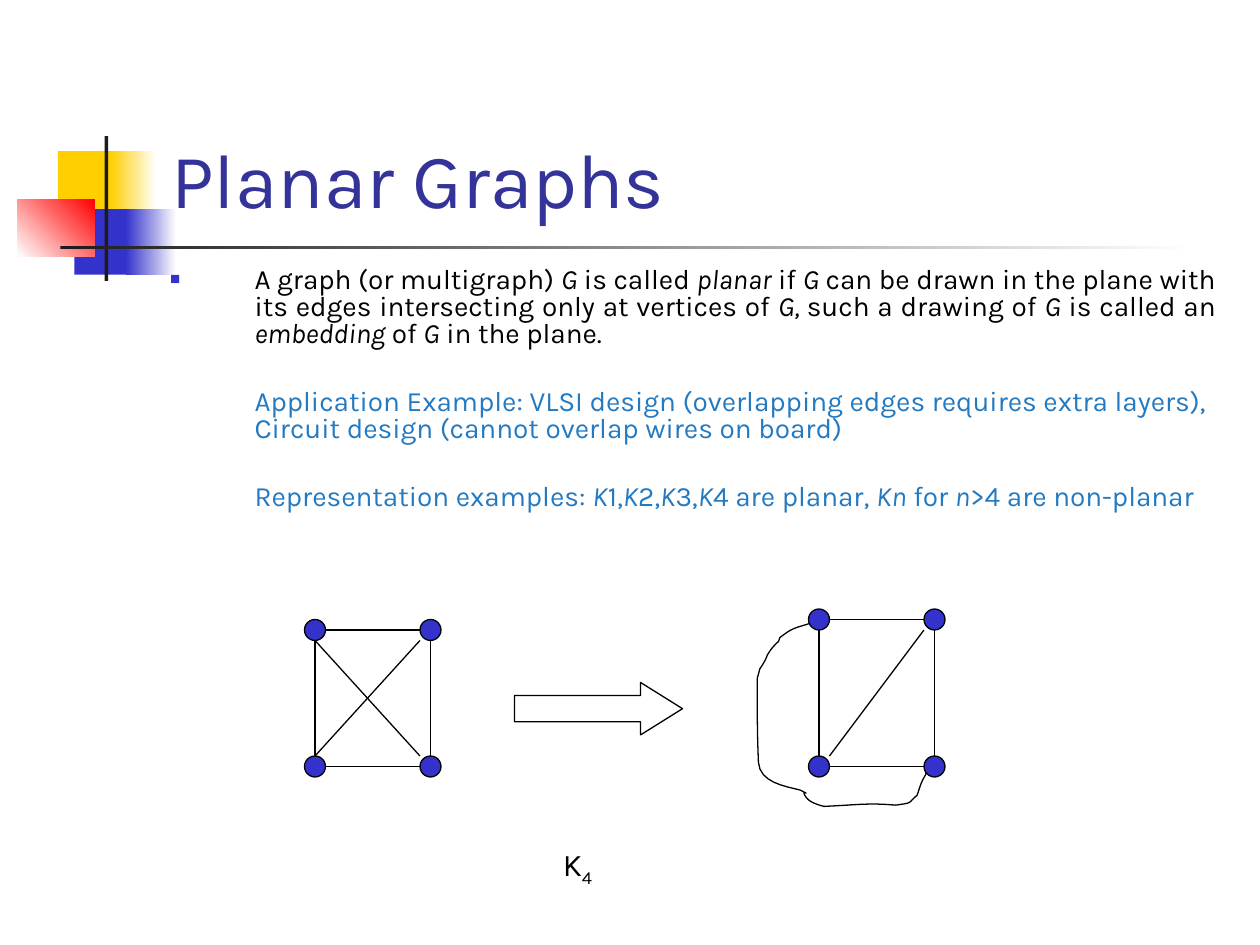
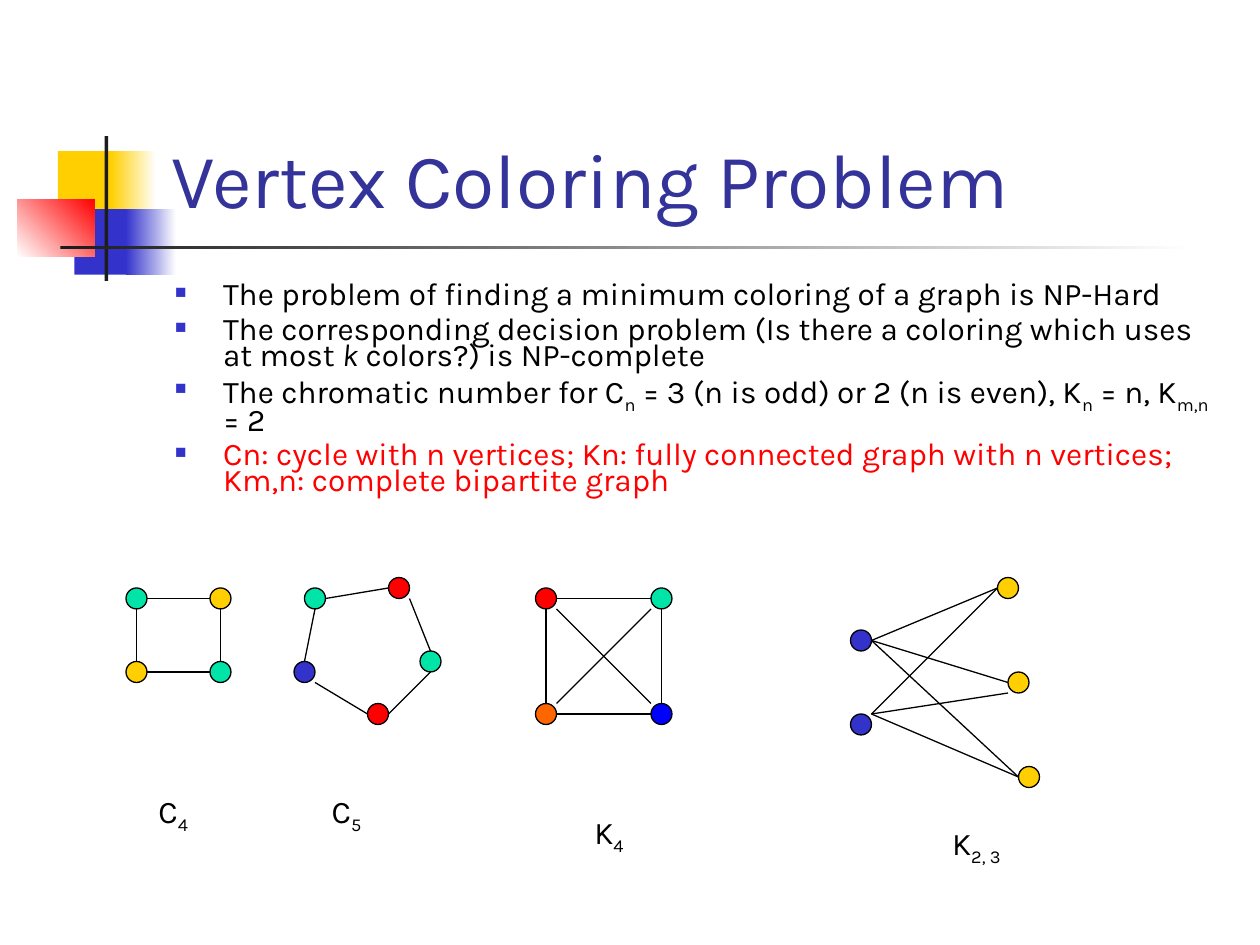
from lxml.etree import SubElement
from pptx import Presentation
from pptx.dml.color import RGBColor as RGB
from pptx.enum.shapes import MSO_CONNECTOR, MSO_SHAPE as SHAPE
from pptx.enum.text import MSO_ANCHOR as ANCHOR, MSO_AUTO_SIZE as AUTO, PP_ALIGN as ALIGN
from pptx.oxml.ns import qn
from pptx.util import Cm, Pt

T = {
    "font": "Karla", "title": 44, "body": 16, "list": 18, "label": 18, "line": 0.75,
    "navy": "333399", "black": "000000", "white": "FFFFFF", "ink": "1C1C1C",
    "indigo": "3333CC", "yellow": "FFCF01", "red": "FF0000", "sky": "237AC1",
    "green": "00E4A8", "orange": "FF6600", "blue": "0000FF",
}
INCH = 2.54
GRID = INCH / 12


def write(p, text, size, color):
    for i, part in enumerate(text.split("*")):
        for j, piece in enumerate(part.split("_")):
            if not piece:
                continue
            r = p.add_run()
            r.text = piece
            fmt = {"name": T["font"], "size": Pt(T[size]), "italic": i % 2 == 1}
            for key, value in fmt.items():
                setattr(r.font, key, value)
            r.font.color.rgb = RGB.from_string(T[color])
            if j % 2:
                r._r.get_or_add_rPr().set("baseline", "-25000")


def draw(s, kind, box, unit, fill, line=None):
    sp = s.shapes.add_shape(kind, *[Cm(v * unit) for v in box])
    sp.shadow.inherit = False
    sp.fill.solid()
    sp.fill.fore_color.rgb = RGB.from_string(T[fill])
    if line:
        sp.line.color.rgb = RGB.from_string(T[line])
        sp.line.width = Pt(T["line"])
    else:
        sp.line.fill.background()
    return sp


prs = Presentation()
prs.slide_width, prs.slide_height = Cm(10 * INCH), Cm(7.5 * INCH)

slides = [
    {
        "title": "Planar Graphs",
        "body": (1.25, 2.08, 8.5, 2.42), "size": "body", "indent": 0.67, "spacing": 0.8,
        "paragraphs": [
            ("A graph (or multigraph) *G* is called *planar* if *G* can be drawn in the plane with "
             "its edges intersecting only at vertices of *G, *such a drawing of *G* is called an "
             "*embedding* of *G* in the plane. ", "black", True, 4, ALIGN.JUSTIFY),
            ("Application Example: VLSI design (overlapping edges requires extra layers), "
             "Circuit design (cannot overlap wires on board)", "sky", False, 23.4, ALIGN.LEFT),
            ("Representation examples: *K*1,*K*2,*K*3,*K*4 are planar, *Kn* for *n*>4 "
             "are non-planar", "sky", False, 23.4, ALIGN.LEFT),
        ],
        "frames": [((77, 58, 88, 72), ["indigo"] * 4), ((29, 59, 40, 72), ["indigo"] * 4)],
        "nodes": [],
        "edges": [(79, 72, 88, 60), (30, 61, 40, 72), (40, 61, 30, 72)],
        "labels": [("K_4_", (53, 81, 4, 3))],
    },
    {
        "title": "Vertex Coloring Problem",
        "body": (1.29, 2.21, 8.5, 1.96), "size": "list", "indent": 0.38, "spacing": 0.7,
        "paragraphs": [
            (text, color, True, 4.5, ALIGN.LEFT) for text, color in [
                ("The problem of finding a minimum coloring of a graph is NP-Hard", "black"),
                ("The corresponding decision problem (Is there a coloring which uses at most "
                 "*k* colors?) is NP-complete", "black"),
                ("The chromatic number for C_n_ = 3 (n is odd) or 2 (n is even), K_n_ = n, "
                 "K_m,n_ = 2", "black"),
                ("Cn: cycle with n vertices; Kn: fully connected graph with n vertices; "
                 "Km,n: complete bipartite graph", "red"),
            ]
        ],
        "frames": [((12, 56, 20, 63), ["green", "yellow", "yellow", "green"]),
                   ((51, 56, 62, 67), ["red", "green", "orange", "blue"])],
        "nodes": [(29, 56, "green"), (28, 63, "indigo"), (35, 67, "red"), (40, 62, "green"),
                  (37, 55, "red"), (81, 60, "indigo"), (81, 68, "indigo"),
                  (95, 55, "yellow"), (96, 64, "yellow"), (97, 73, "yellow")],
        "edges": [(31, 57, 37, 56), (39, 57, 41, 62), (37, 68, 41, 64), (30, 65, 35, 68),
                  (30, 58, 29, 63), (53, 58, 62, 67), (53, 67, 62, 58),
                  (83, 61, 95, 56), (83, 61, 96, 65), (83, 61, 97, 74),
                  (83, 68, 95, 56), (83, 68, 96, 66), (83, 68, 97, 74)],
        "labels": [("C_4_", (15, 76, 3, 3)), ("C_5_", (31, 76, 4, 3)),
                   ("K_4_", (56, 78, 4, 3)), ("K_2, 3_", (90, 79, 6, 3))],
    },
]

for page in slides:
    s = prs.slides.add_slide(prs.slide_layouts[1])
    title, body = s.shapes.title, s.placeholders[1]
    for holder, box, anchor in [(title, (1.26, 0.23, 8.52, 1.6), ANCHOR.BOTTOM),
                                (body, page["body"], ANCHOR.TOP)]:
        for key, value in zip(("left", "top", "width", "height"), box):
            setattr(holder, key, Cm(value * INCH))
        fmt = {"word_wrap": True, "auto_size": AUTO.NONE, "vertical_anchor": anchor}
        for key, value in fmt.items():
            setattr(holder.text_frame, key, value)

    p = title.text_frame.paragraphs[0]
    p.alignment = ALIGN.LEFT
    write(p, page["title"], "title", "navy")

    tf = body.text_frame
    for n, (text, color, bullet, before, align) in enumerate(page["paragraphs"]):
        p = tf.add_paragraph() if n else tf.paragraphs[0]
        fmt = {"alignment": align, "line_spacing": page["spacing"],
               "space_before": Pt(before), "space_after": Pt(0)}
        for key, value in fmt.items():
            setattr(p, key, value)
        write(p, text, page["size"], color)
        pPr = p._p.get_or_add_pPr()
        indent = Cm(page["indent"] * INCH)
        pPr.set("marL", str(indent))
        pPr.set("indent", str(-indent if bullet else 0))
        if bullet:
            SubElement(SubElement(pPr, qn("a:buClr")), qn("a:srgbClr")).set("val", T["indigo"])
            SubElement(pPr, qn("a:buSzPct")).set("val", "60000")
            SubElement(pPr, qn("a:buChar")).set("char", "■")
        else:
            SubElement(pPr, qn("a:buNone"))

    nodes, edges = list(page["nodes"]), list(page["edges"])
    for (l, t, r, b), colors in page["frames"]:
        corners = [(l, t), (r, t), (l, b), (r, b)]
        nodes += [(x, y, color) for (x, y), color in zip(corners, colors)]
        edges += [(l + 2, y + 1, r, y + 1) for y in (t, b)]
        edges += [(x + 1, t + 2, x + 1, b) for x in (l, r)]
    for x, y, color in nodes:
        draw(s, SHAPE.OVAL, (x, y, 2, 2), GRID, color, "black")
    for edge in edges:
        cx = s.shapes.add_connector(MSO_CONNECTOR.STRAIGHT, *[Cm(v * GRID) for v in edge])
        cx.line.color.rgb = RGB.from_string(T["black"])
        cx.line.width = Pt(T["line"])
        SubElement(cx._element.spPr, qn("a:effectLst"))
    for text, box in page["labels"]:
        tf = draw(s, SHAPE.RECTANGLE, box, GRID, "white", "white").text_frame
        tf.word_wrap = False
        tf.vertical_anchor = ANCHOR.MIDDLE
        tf.paragraphs[0].alignment = ALIGN.CENTER
        write(tf.paragraphs[0], text, "label", "black")

s = prs.slides[0]
arrow = draw(s, SHAPE.RIGHT_ARROW, (49, 65, 16, 5), GRID, "white", "black")
arrow.adjustments[0], arrow.adjustments[1] = 0.5, 0.8

start = (6.42, 4.95)
curves = [
    (6.36, 4.97, 6.31, 4.98, 6.26, 5.01), (6.23, 5.03, 6.19, 5.06, 6.19, 5.06),
    (6.17, 5.12, 6.19, 5.07, 6.14, 5.13), (6.12, 5.15, 6.09, 5.2, 6.09, 5.2),
    (6.08, 5.24, 6.03, 5.31, 6.03, 5.31), (6.03, 5.32, 6.01, 5.38, 6.01, 5.39),
    (6.01, 5.61, 6.01, 5.83, 6.02, 6.05), (6.03, 6.21, 6.23, 6.24, 6.35, 6.27),
    (6.46, 6.33, 6.34, 6.25, 6.4, 6.33), (6.43, 6.37, 6.5, 6.39, 6.54, 6.4),
    (6.78, 6.39, 6.89, 6.37, 7.11, 6.39), (7.25, 6.37, 7.2, 6.38, 7.28, 6.31),
    (7.3, 6.25, 7.31, 6.21, 7.34, 6.16), (7.35, 6.15, 7.35, 6.13, 7.35, 6.13),
]
points = [start]
for x1, y1, x2, y2, x3, y3 in curves:
    x0, y0 = points[-1]
    for step in range(1, 9):
        t = step / 8
        u = 1 - t
        weights = (u ** 3, 3 * u * u * t, 3 * u * t * t, t ** 3)
        points.append(tuple(sum(w * v for w, v in zip(weights, axis))
                            for axis in ((x0, x1, x2, x3), (y0, y1, y2, y3))))
route = [(Cm(x * INCH), Cm(y * INCH)) for x, y in points]
builder = s.shapes.build_freeform(*route[0], scale=1.0)
builder.add_line_segments(route[1:], close=False)
detour = builder.convert_to_shape()
detour.shadow.inherit = False
detour.fill.background()
detour.line.color.rgb = RGB.from_string(T["black"])
detour.line.width = Pt(T["line"])

bands = [
    ((0.46, 1.2, 0.48, 0.52), "yellow", None, 0),
    ((0.88, 1.2, 0.36, 0.52), "yellow", "white", 0),
    ((0.59, 1.66, 0.46, 0.52), "indigo", None, 0),
    ((1, 1.66, 0.4, 0.52), "indigo", "white", 0),
    ((0.14, 1.58, 0.61, 0.46), "white", "red", 45),
    ((0.83, 1.08, 0.03, 1.15), "ink", None, 0),
    ((0.48, 1.95, 9, 0.03), "ink", "white", 0),
]
for box, color, fade, angle in bands:
    sp = draw(s, SHAPE.RECTANGLE, box, INCH, color)
    if fade:
        sp.fill.gradient()
        sp.fill.gradient_angle = angle
        for stop, name in zip(sp.fill.gradient_stops, (color, fade)):
            stop.color.rgb = RGB.from_string(T[name])
    prs.slide_master.shapes.element.append(sp.element)

prs.save("out.pptx")
